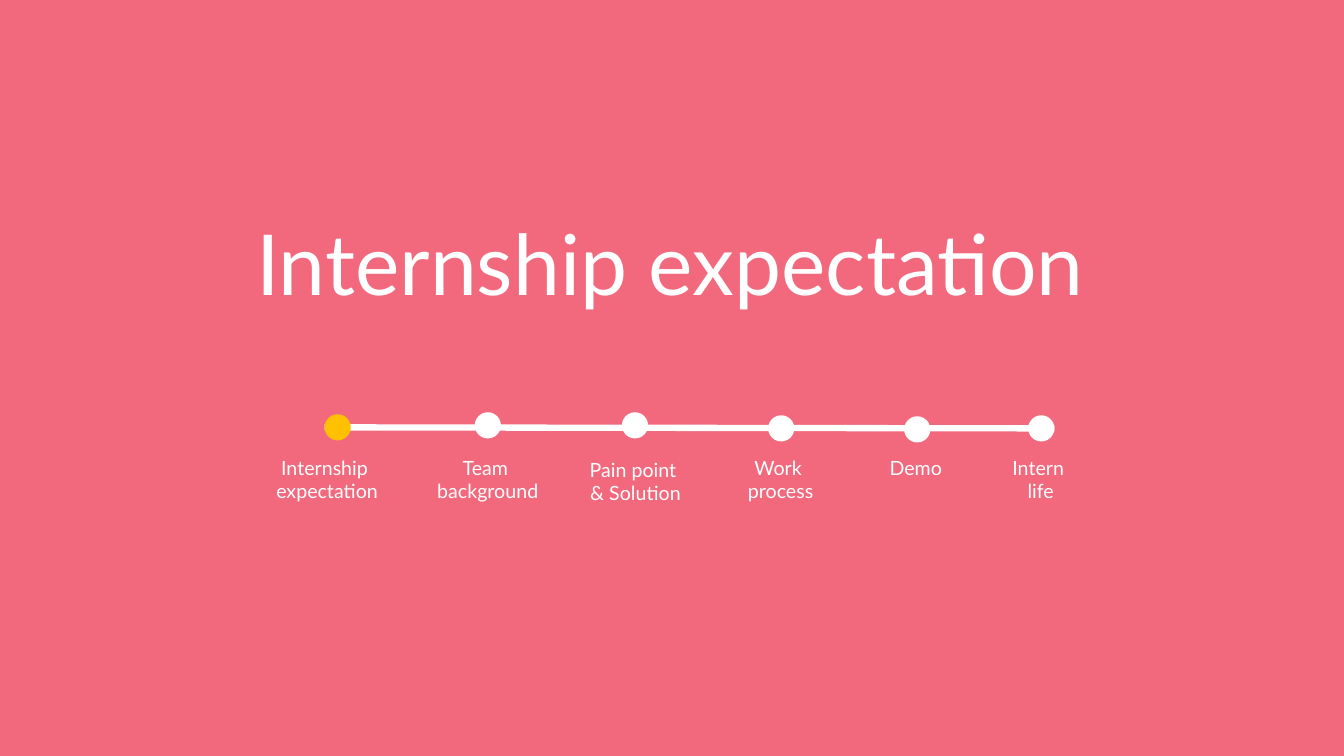
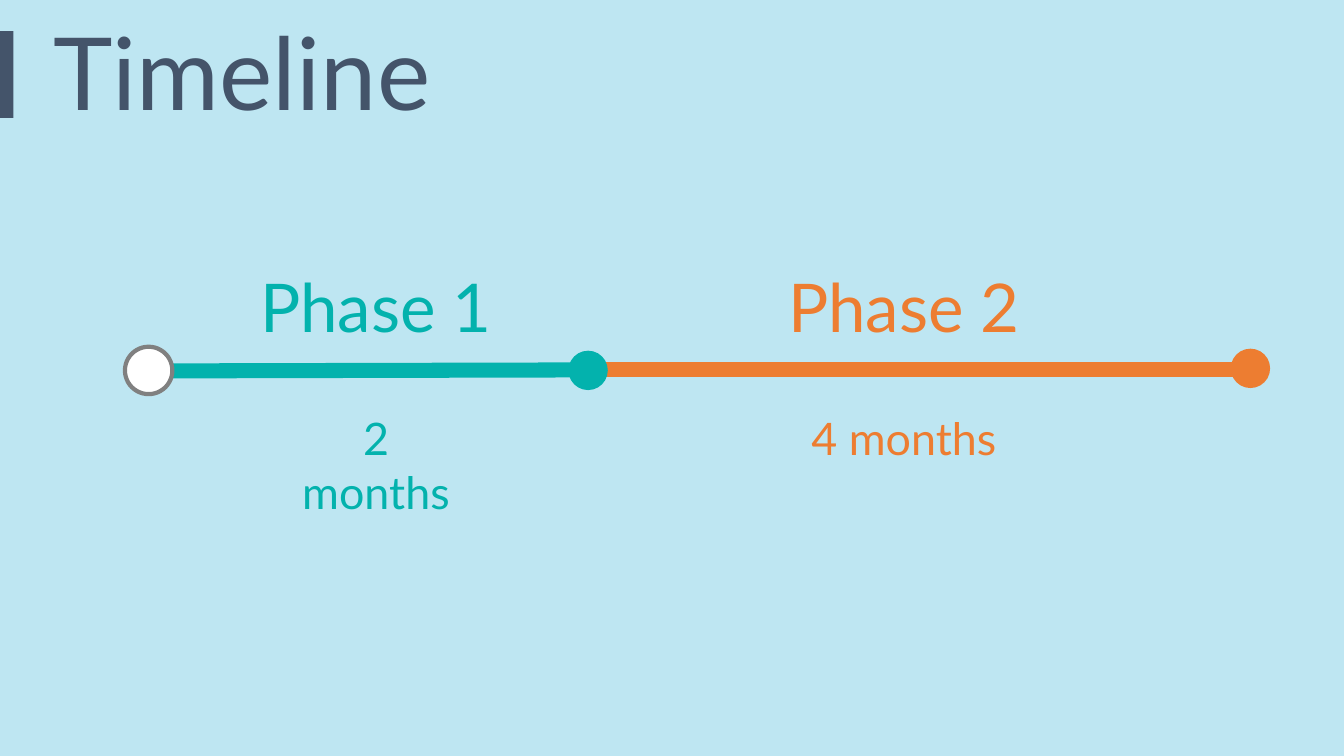
"""Build an agenda divider and a two-phase timeline slide."""
from lxml import etree
from pptx import Presentation
from pptx import util as u
from pptx.dml.color import RGBColor
from pptx.enum import shapes, text
from pptx.oxml.ns import qn

FONT = "Lato"
WHITE, PINK, AMBER = "FFFFFF", "F2697E", "FFC000"
SKY, SLATE, TEAL, ORANGE, GREY = "BEE6F2", "44546A", "03B2AD", "ED7D31", "808080"
LEFT, CENTER = text.PP_ALIGN.LEFT, text.PP_ALIGN.CENTER
color = RGBColor.from_string

presentation = Presentation()
presentation.slide_width, presentation.slide_height = u.Inches(13.333), u.Inches(7.5)
column = presentation.slide_width / 100
row = presentation.slide_height / 100


def area(left, top, width, height):
    """Turn grid columns and rows into lengths."""
    return [u.Emu(round(length)) for length in
            (left * column, top * row, width * column, height * row)]


def write(shape, lines, size, ink, align=CENTER, wrap=True):
    """Fill a shape with one paragraph per line."""
    frame = shape.text_frame
    frame.auto_size = text.MSO_AUTO_SIZE.NONE
    frame.word_wrap = wrap
    frame.vertical_anchor = text.MSO_ANCHOR.TOP
    for index, line in enumerate(lines):
        paragraph = frame.add_paragraph() if index else frame.paragraphs[0]
        paragraph.alignment = align
        run = paragraph.add_run()
        run.text = line
        run.font.name = FONT
        run.font.size = u.Pt(size)
        run.font.color.rgb = color(ink)


slides = []
for background, title, place, size, ink in [
    (PINK, "Internship expectation", (18.3, 27.33, 64, 14.8), 60, WHITE),
    (SKY, "Timeline", (3.23, 0.67, 49.35, 17.47), 72, SLATE),
]:
    slide = presentation.slides.add_slide(presentation.slide_layouts[5])
    slide.background.fill.solid()
    slide.background.fill.fore_color.rgb = color(background)
    heading = slide.shapes.title
    heading.left, heading.top, heading.width, heading.height = area(*place)
    write(heading, [title], size, ink, LEFT)
    slides.append(slide)
agenda, timeline = slides

for slide, start, end, ink, weight in [
    (agenda, (24.15, 56.53), (78.45, 56.67), WHITE, 4.5),
    (timeline, (43.73, 48.93), (92.85, 48.93), ORANGE, 10.75),
    (timeline, (11.1, 49.07), (43.73, 48.93), TEAL, 10.75),
]:
    track = slide.shapes.add_connector(
        shapes.MSO_CONNECTOR.STRAIGHT, *area(*start, *end))
    track.line.color.rgb = color(ink)
    track.line.width = u.Pt(weight)
    etree.SubElement(track._element.spPr, qn("a:effectLst"))

steps = [
    (25.13, 56.53, 24.34, 59.6, ["Internship ", "expectation"]),
    (36.3, 56.27, 36.11, 59.6, ["Team", " background"]),
    (47.25, 56.27, 47.29, 59.87, ["Pain point ", "& Solution"]),
    (58.13, 56.67, 58.09, 59.6, ["Work ", "process"]),
    (68.25, 56.8, 68.14, 59.6, ["Demo"]),
    (77.48, 56.67, 77.44, 59.6, ["Intern ", "life"]),
]
dots = [(agenda, x, y, 1.95, WHITE if index else AMBER, None)
        for index, (x, y, *label) in enumerate(steps)]
dots += [
    (timeline, 11.06, 49, 3.53, WHITE, GREY),
    (timeline, 43.76, 49, 2.93, TEAL, None),
    (timeline, 93.04, 48.73, 2.93, ORANGE, None),
]
marks = []
for slide, x, y, diameter, fill, outline in dots:
    height = diameter * column / row
    marks.append((slide, shapes.MSO_SHAPE.OVAL, fill, outline,
                  (x - diameter / 2, y - height / 2, diameter, height)))
marks.append((timeline, shapes.MSO_SHAPE.RECTANGLE, SLATE, None, (0, 4.13, 1, 11.47)))

for slide, kind, fill, outline, place in marks:
    mark = slide.shapes.add_shape(kind, *area(*place))
    mark.shadow.inherit = False
    mark.fill.solid()
    mark.fill.fore_color.rgb = color(fill)
    if outline:
        mark.line.color.rgb = color(outline)
        mark.line.width = u.Pt(3)
    else:
        mark.line.fill.background()

labels = [(agenda, center, top, 22, 7.6, lines, 14, WHITE)
          for x, y, center, top, lines in steps]
for center, phase, duration, width, ink in [
    (27.98, "Phase 1", "2 months", 14.25, TEAL),
    (67.26, "Phase 2", "4 months", 18, ORANGE),
]:
    labels += [
        (timeline, center, 34.4, 20.25, 12.13, [phase], 48, ink),
        (timeline, center, 53.73, width, 8.53, [duration], 32, ink),
    ]
for slide, center, top, width, height, lines, size, ink in labels:
    box = slide.shapes.add_textbox(*area(center - width / 2, top, width, height))
    write(box, lines, size, ink)

presentation.save("out.pptx")
